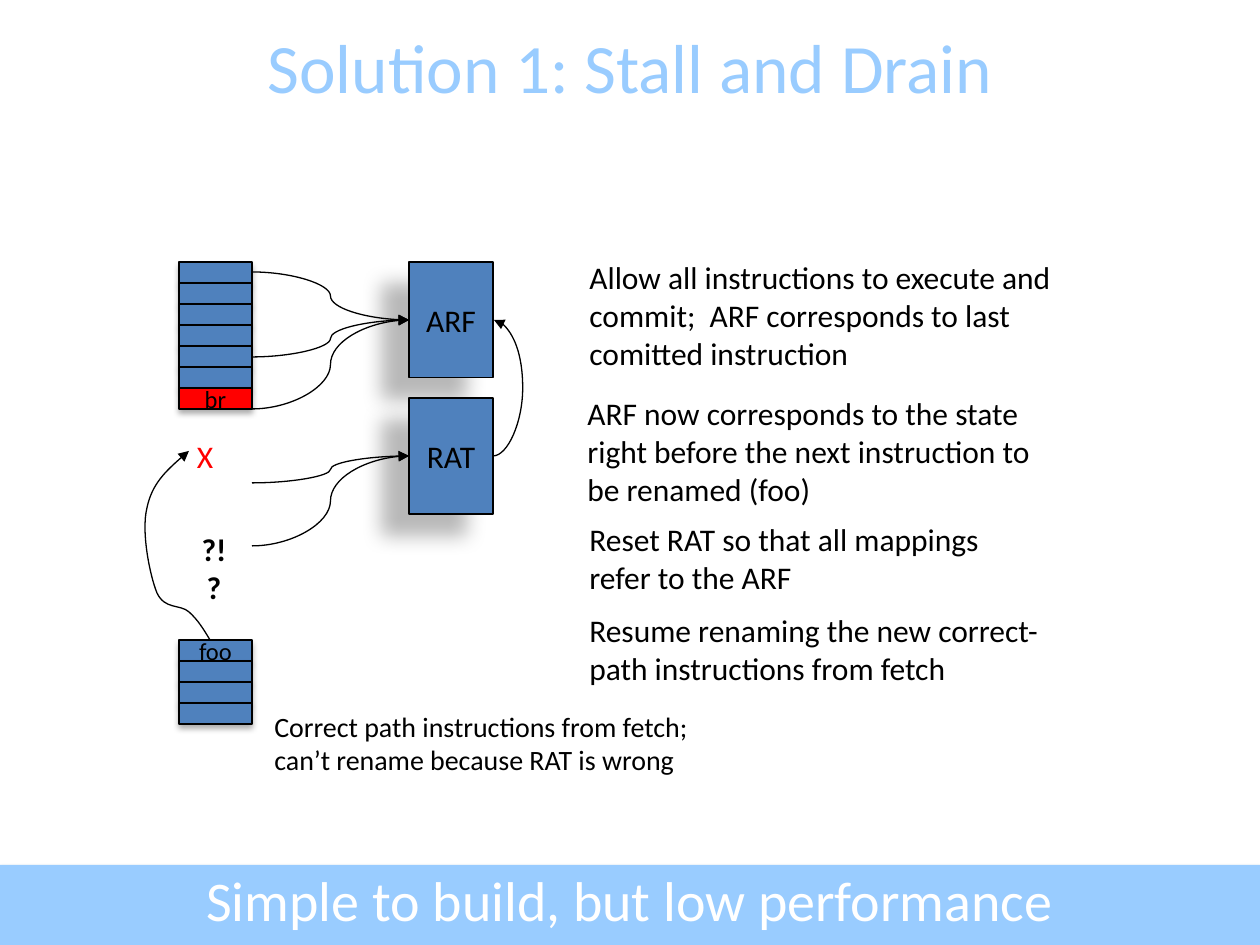
"""Build the 'Stall and Drain' slide on recovering register renaming after a branch."""
from lxml import etree
from pptx import Presentation
from pptx import util as u
from pptx.dml.color import RGBColor
from pptx.enum import shapes, text
from pptx.oxml import ns

PX = 914400 // 126
FONT = "Calibri"
COLORS = {"sky": "99CCFF", "blue": "4F81BD", "red": "FF0000", "black": "000000", "white": "FFFFFF"}
TITLE = "Solution 1: Stall and Drain"
SUMMARY = "Simple to build, but low performance"

ROW_LEFT, ROW_WIDTH, ROW_HEIGHT = 179, 73, 21
STACKS = [
    (262, [""] * 6 + ["br"]),
    (640, ["foo", "", "", ""]),
]
BLOCK_LEFT, BLOCK_WIDTH, BLOCK_HEIGHT = 409, 84, 116
BLOCKS = {"ARF": 262, "RAT": 398}
SOURCES = {"ARF": [272, 357, 409], "RAT": [483, 546]}
FOO_CURVE = [
    (210, 640),
    (204, 630), (198, 620), (189, 612),
    (180, 604), (165, 610), (157, 593),
    (150, 576), (141, 532), (147, 508),
    (152, 484), (170, 467), (189, 451),
]
NOTES = [
    ((577, 252, 499, 127), 18, ["Allow all instructions to execute and",
                                "commit;  ARF corresponds to last",
                                "comitted instruction"]),
    ((575, 388, 479, 127), 18, ["ARF now corresponds to the state",
                                "right before the next instruction to",
                                "be renamed (foo)"]),
    ((577, 514, 425, 89), 18, ["Reset RAT so that all mappings", "refer to the ARF"]),
    ((577, 605, 481, 89), 18, ["Resume renaming the new correct-", "path instructions from fetch"]),
    ((262, 703, 452, 81), 16, ["Correct path instructions from fetch;",
                               "can’t rename because RAT is wrong"]),
]
ROW_SHADOW = (32, 3.5, 2.2, 90)
BLOCK_SHADOW = (28, 11.8, 19.7, 141)
BAR_SHADOW = (35, 3.1, 1.8, 90)


def px(*values):
    return [value * PX for value in values]


def rgb(name):
    return RGBColor.from_string(COLORS[name])


def write(shape, lines, size, color="black", centred=False, bold=False, wrap=False):
    frame = shape.text_frame
    frame.word_wrap = wrap
    frame.text = "\n".join(lines)
    for para in frame.paragraphs:
        para.alignment = text.PP_ALIGN.CENTER if centred else text.PP_ALIGN.LEFT
        for span in para.runs:
            span.font.name, span.font.size, span.font.bold = FONT, u.Pt(size), bold
            span.font.color.rgb = rgb(color)


def add_text(page, place, lines, size, **style):
    box = page.shapes.add_textbox(*px(*place))
    write(box, lines, size, **style)
    return box


def add_box(page, place, fill, shadow, outlined=True, label="", size=14):
    box = page.shapes.add_shape(shapes.MSO_SHAPE.RECTANGLE, *px(*place))
    box.fill.solid()
    box.fill.fore_color.rgb = rgb(fill)
    if outlined:
        outline(box)
    else:
        box.line.fill.background()
    box.shadow.inherit = False
    alpha, blur, distance, angle = shadow
    effects = box._element.spPr.find(ns.qn("a:effectLst"))
    outer = etree.SubElement(effects, ns.qn("a:outerShdw"), blurRad=str(u.Pt(blur)),
                             dist=str(u.Pt(distance)), dir=str(angle * 60000), rotWithShape="0")
    shade = etree.SubElement(outer, ns.qn("a:srgbClr"), val=COLORS["black"])
    etree.SubElement(shade, ns.qn("a:alpha"), val=str(alpha * 1000))
    if label:
        frame = box.text_frame
        frame.margin_top = frame.margin_bottom = 0
        frame.vertical_anchor = text.MSO_ANCHOR.MIDDLE
        write(box, [label], size, centred=True)


def outline(shape, arrow=False):
    shape.line.color.rgb = rgb("black")
    shape.line.width = u.Pt(0.75)
    if arrow:
        etree.SubElement(shape.line._get_or_add_ln(), ns.qn("a:tailEnd"), type="triangle")


def add_curve(page, start, end, bend=0.5):
    curve = page.shapes.add_connector(shapes.MSO_CONNECTOR.CURVE, *px(*start, *end))
    outline(curve, arrow=True)
    properties = curve._element.spPr
    etree.SubElement(properties, ns.qn("a:effectLst"))
    guides = properties.prstGeom.get_or_add_avLst()
    etree.SubElement(guides, ns.qn("a:gd"), name="adj1", fmla=f"val {int(bend * 100000)}")


def add_bezier(page, points):
    builder = page.shapes.build_freeform(*points[0], scale=PX)
    builder.add_line_segments(points[1:], close=False)
    curve = builder.convert_to_shape()
    curve.fill.background()
    outline(curve, arrow=True)
    curve.shadow.inherit = False
    corners = list(curve._element.iter(ns.qn("a:lnTo")))
    route = corners[0].getparent()
    for first in range(0, len(corners), 3):
        bend = etree.SubElement(route, ns.qn("a:cubicBezTo"))
        for corner in corners[first:first + 3]:
            bend.append(corner[0])
            route.remove(corner)


def main():
    deck = Presentation()
    deck.slide_width, deck.slide_height = px(1260, 945)
    page = deck.slides.add_slide(deck.slide_layouts[5])
    add_box(page, (0, 865, 1260, 80), "sky", BAR_SHADOW, outlined=False)

    title = page.shapes.title
    title.left, title.top, title.width, title.height = px(0, 26, 1260, 79)
    title.text_frame.vertical_anchor = text.MSO_ANCHOR.MIDDLE
    write(title, [TITLE], 39.6, "sky", centred=True, wrap=True)

    for top, labels in STACKS:
        for index, label in enumerate(labels):
            place = (ROW_LEFT, top + index * ROW_HEIGHT, ROW_WIDTH, ROW_HEIGHT)
            add_box(page, place, "red" if label == "br" else "blue", ROW_SHADOW, label=label)

    middles = {name: top + BLOCK_HEIGHT // 2 for name, top in BLOCKS.items()}
    for name, top in BLOCKS.items():
        add_box(page, (BLOCK_LEFT, top, BLOCK_WIDTH, BLOCK_HEIGHT), "blue", BLOCK_SHADOW,
                label=name, size=18)
    for name, starts in SOURCES.items():
        for start in starts:
            add_curve(page, (ROW_LEFT + ROW_WIDTH, start), (BLOCK_LEFT, middles[name]))
    side = BLOCK_LEFT + BLOCK_WIDTH
    add_curve(page, (side, middles["RAT"]), (side + 1, middles["ARF"]), bend=30)
    add_bezier(page, FOO_CURVE)

    add_text(page, (185, 524, 58, 50), ["?!?"], 18, centred=True, bold=True, wrap=True)
    add_text(page, (181, 431, 48, 50), ["X"], 18, color="red", centred=True)
    for place, size, lines in NOTES:
        add_text(page, place, lines, size)
    add_text(page, (0, 859, 1260, 79), [SUMMARY], 32, color="white", centred=True, wrap=True)
    deck.save("out.pptx")


if __name__ == "__main__":
    main()
